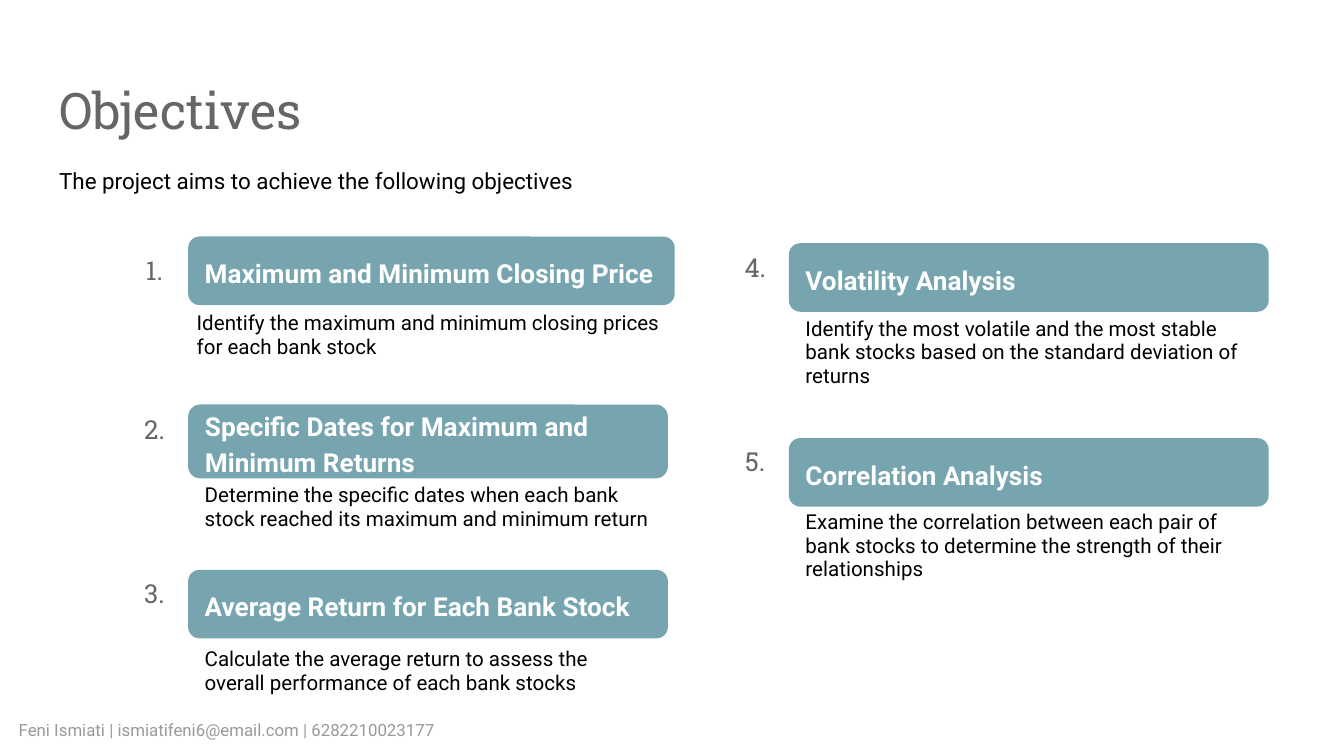
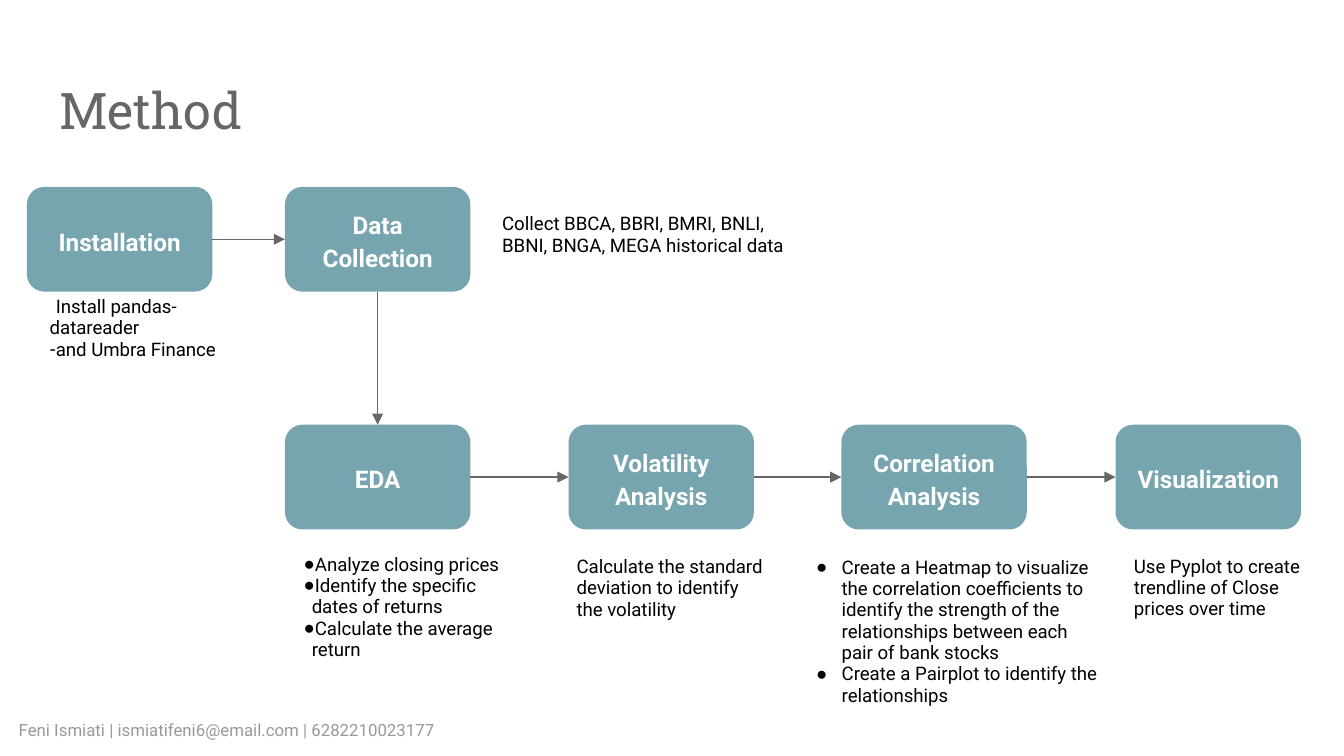
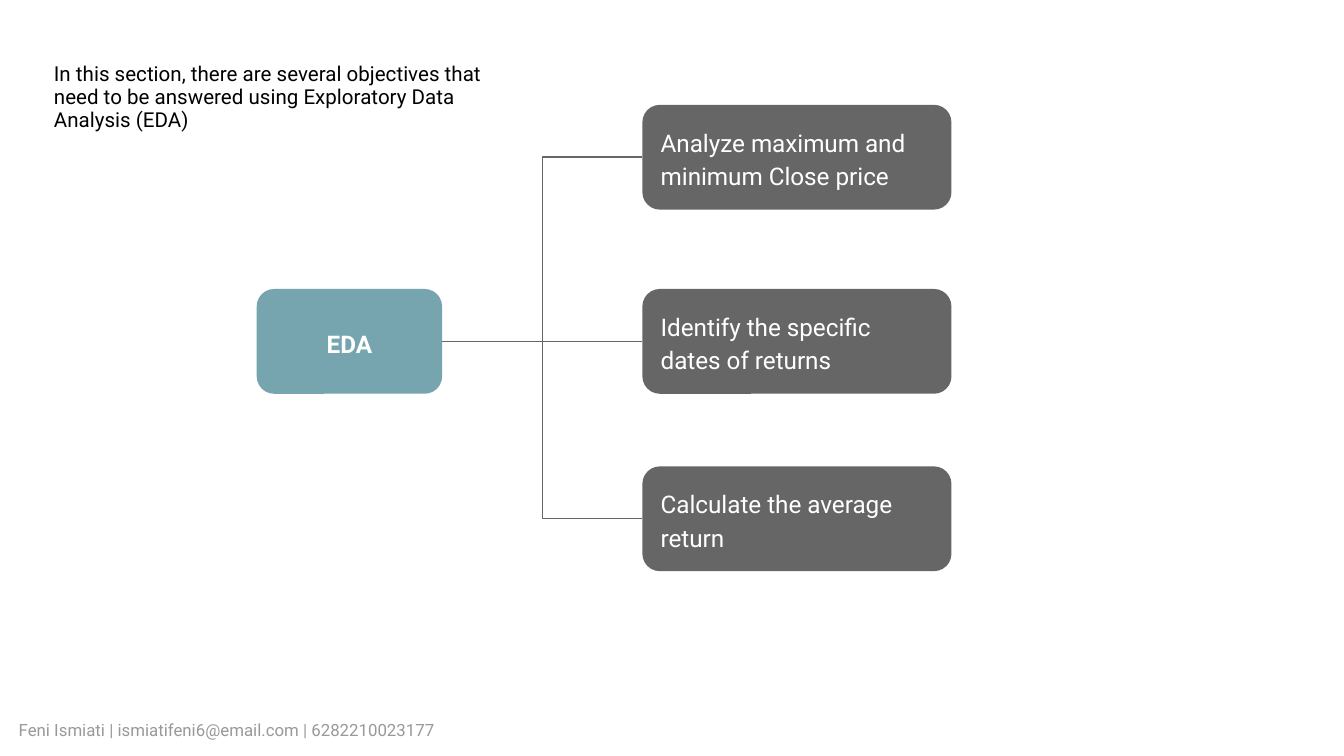
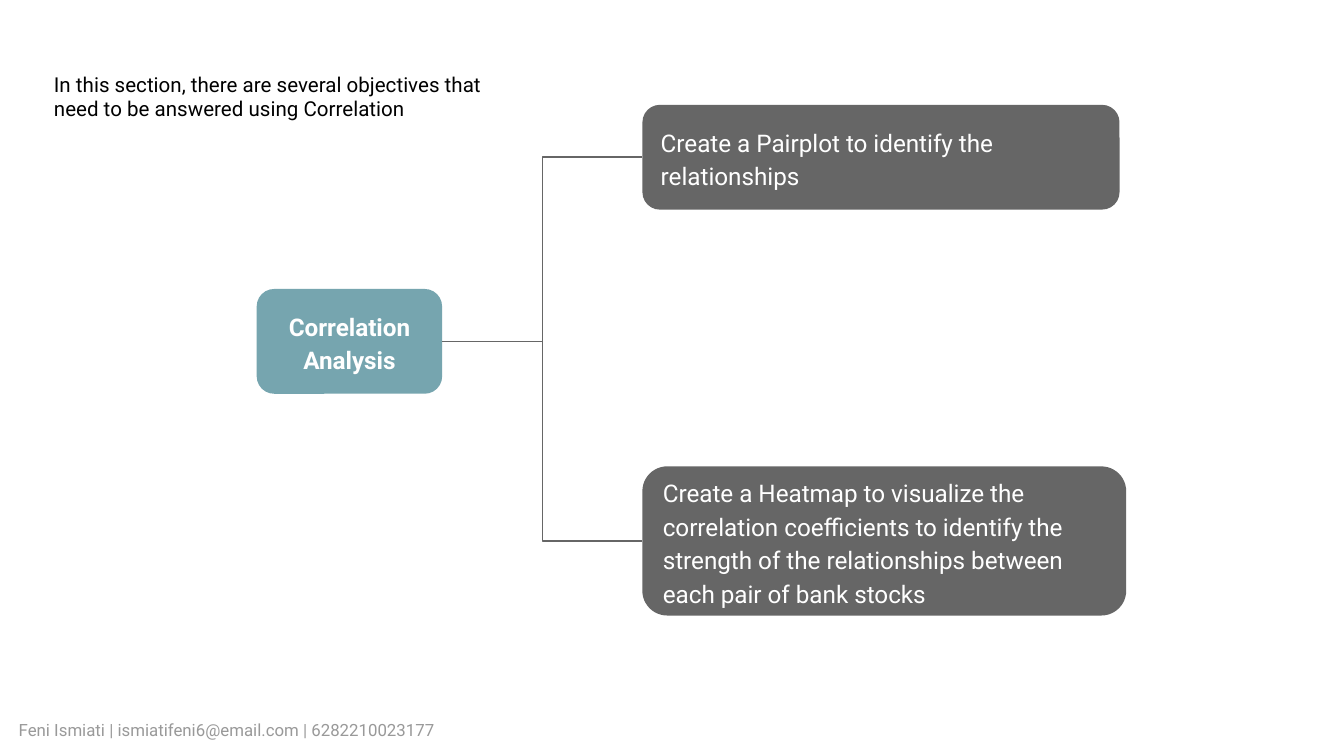
from lxml.etree import SubElement
from pptx import Presentation
from pptx.dml.color import RGBColor
from pptx.enum.shapes import MSO_CONNECTOR as Link, MSO_SHAPE as Shape
from pptx.enum.text import MSO_ANCHOR as Anchor, MSO_AUTO_SIZE as AutoSize, PP_ALIGN as Align
from pptx.oxml.ns import qn
from pptx.util import Inches, Pt

TEAL = RGBColor(0x76, 0xA5, 0xAF)
GRAY = RGBColor(0x66, 0x66, 0x66)
PALE = RGBColor(0x99, 0x99, 0x99)
BLACK = RGBColor(0, 0, 0)
WHITE = RGBColor(0xFF, 0xFF, 0xFF)
SANS, SLAB, BULLET_FONT = "Roboto", "Roboto Slab", "Arial"
FOOTER = "Feni Ismiati | ismiatifeni6@email.com | 6282210023177"
STEP_WIDTH, STEP_HEIGHT = 1.38, 0.78


def add_box(page, place, text, size, color=BLACK, fill=None, bold=False,
            align=Align.LEFT, spacing=0.95, font=SANS):
    """Add a rounded box with text; without a fill only the text shows."""
    box = page.shapes.add_shape(Shape.ROUNDED_RECTANGLE, *map(Inches, place))
    box.shadow.inherit = False
    box.line.fill.background()
    if fill is None:
        box.fill.background()
    else:
        box.fill.solid()
        box.fill.fore_color.rgb = fill
    frame = box.text_frame
    frame.word_wrap = True
    frame.vertical_anchor = Anchor.MIDDLE
    frame.margin_left = frame.margin_right = Inches(0.1)
    frame.margin_top = frame.margin_bottom = Inches(0.1)
    frame.text = text
    for para in frame.paragraphs:
        para.alignment = align
        para.line_spacing = spacing
        for span in para.runs:
            span.font.name = font
            span.font.size = Pt(size)
            span.font.bold = bold
            span.font.color.rgb = color
    return box


def join(page, kind, start, start_side, end, end_side, arrow=False):
    """Join two boxes with a thin gray connector."""
    line = page.shapes.add_connector(kind, 0, 0, 0, 0)
    line.begin_connect(start, start_side)
    line.end_connect(end, end_side)
    line.line.color.rgb = GRAY
    line.line.width = Pt(0.75)
    if arrow:
        SubElement(line.line._get_or_add_ln(), qn("a:tailEnd"), type="triangle")
    SubElement(line._element.spPr, qn("a:effectLst"))


# A deck in the 16:9 format
deck = Presentation()
deck.slide_width = Inches(10)
deck.slide_height = Inches(10) * 9 // 16
objectives, method, eda, correlation = [
    deck.slides.add_slide(deck.slide_layouts[index]) for index in (1, 5, 6, 6)]

# Titles and the introduction, in the placeholders
for holder, text, place, font, size, color, spacing in (
    (objectives.shapes.title, "Objectives", (0.34, 0.49, 9.32, 0.63), SLAB, 27, GRAY, 1.0),
    (objectives.placeholders[1], "The project aims to achieve the following objectives",
     (0.34, 1.11, 4.33, 0.44), SANS, 12, BLACK, 1.15),
    (method.shapes.title, "Method", (0.34, 0.49, 9.32, 0.63), SLAB, 27, GRAY, 1.0),
):
    holder.left, holder.top, holder.width, holder.height = map(Inches, place)
    frame = holder.text_frame
    frame.text = text
    frame.word_wrap = True
    frame.auto_size = AutoSize.NONE
    frame.vertical_anchor = Anchor.TOP
    frame.margin_left = frame.margin_right = Inches(0.1)
    frame.margin_top = frame.margin_bottom = Inches(0.1)
    para = frame.paragraphs[0]
    para.alignment = Align.LEFT
    para.line_spacing = spacing
    para.space_before = Pt(0)
    props = para._p.get_or_add_pPr()
    props.set("marL", "0")
    props.set("indent", "0")
    SubElement(props, qn("a:buNone"))
    span = para.runs[0]
    span.font.name, span.font.size, span.font.color.rgb = font, Pt(size), color

# Objectives: number, heading bar and explanation
goals = (
    (1.81, (1.4, 1.76, 3.62, 0.51), "Maximum and Minimum Closing Price",
     (1.34, 2.24, 3.75, 0.51),
     "Identify the maximum and minimum closing prices for each bank stock"),
    (2.99, (1.4, 3.01, 3.57, 0.55), "Specific Dates for Maximum and Minimum Returns",
     (1.4, 3.52, 3.57, 0.51),
     "Determine the specific dates when each bank stock reached its maximum and minimum return"),
    (4.21, (1.4, 4.24, 3.57, 0.51), "Average Return for Each Bank Stock",
     (1.4, 4.74, 3.57, 0.51),
     "Calculate the average return to assess the overall performance of each bank stocks"),
    (1.79, (5.87, 1.81, 3.57, 0.51), "Volatility Analysis",
     (5.87, 2.37, 3.57, 0.51),
     "Identify the most volatile and the most stable bank stocks based on the standard "
     "deviation of returns"),
    (3.23, (5.87, 3.26, 3.57, 0.51), "Correlation Analysis",
     (5.87, 3.81, 3.57, 0.51),
     "Examine the correlation between each pair of bank stocks to determine the strength "
     "of their relationships"),
)
for number, (number_top, bar, heading, note, text) in enumerate(goals, 1):
    add_box(objectives, (bar[0] - 0.5, number_top, 0.5, 0.4), f"{number}.", 14, GRAY,
            align=Align.CENTER, spacing=1.0, font=SLAB)
    add_box(objectives, bar, heading, 14, WHITE, TEAL, bold=True, spacing=1.15)
    add_box(objectives, note, text, 11)

# Method: the steps and the arrows between them
steps = [
    add_box(method, (left, top, STEP_WIDTH, STEP_HEIGHT), text, 13, WHITE, TEAL,
            bold=True, align=Align.CENTER, spacing=1.15)
    for left, top, text in (
        (0.2, 1.39, "Installation"), (2.12, 1.39, "Data Collection"), (2.12, 3.16, "EDA"),
        (4.23, 3.16, "Volatility Analysis"), (6.26, 3.16, "Correlation Analysis"),
        (8.3, 3.16, "Visualization"))
]
for start, end in zip(steps, steps[1:]):
    sides = (2, 0) if start.left == end.left else (3, 1)
    join(method, Link.STRAIGHT, start, sides[0], end, sides[1], arrow=True)

# Method: plain notes
for place, text in (
    ((3.6, 1.36, 2.39, 0.78), "Collect BBCA, BBRI, BMRI, BNLI, BBNI, BNGA, MEGA historical data"),
    ((4.16, 4.05, 1.69, 0.66), "Calculate the standard deviation to identify the volatility"),
    ((8.31, 4.08, 1.63, 0.59), "Use Pyplot to create trendline of Close prices over time"),
):
    add_box(method, place, text, 10)

# Method: bulleted notes, with a bullet colour for each paragraph
for place, mark, margin, indent, lines, colors in (
    ((0.25, 2.22, 1.74, 0.45), "-", 0, -0.6,
     ("Install pandas-datareader", "and Umbra Finance"), (WHITE, BLACK)),
    ((2.12, 4.09, 1.86, 0.86), "●", 0.06, -0.19,
     ("Analyze closing prices", "Identify the specific dates of returns",
      "Calculate the average return"), (BLACK,) * 3),
    ((5.84, 3.94, 2.51, 1.52), "●", 0.25, -0.19,
     ("Create a Heatmap to visualize the correlation coefficients to identify the strength "
      "of the relationships between each pair of bank stocks",
      "Create a Pairplot to identify the relationships"), (BLACK,) * 2),
):
    box = add_box(method, place, "\n".join(lines), 10)
    for para, color in zip(box.text_frame.paragraphs, colors):
        props = para._p.get_or_add_pPr()
        props.set("marL", str(Inches(margin)))
        props.set("indent", str(Inches(indent)))
        SubElement(SubElement(props, qn("a:buClr")), qn("a:srgbClr"), val=str(color))
        SubElement(props, qn("a:buFont"), typeface=BULLET_FONT)
        SubElement(props, qn("a:buChar"), char=mark)

# Section trees: a topic joined to its tasks
for page, topic, intro, tasks in (
    (eda, "EDA",
     "In this section, there are several objectives that need to be answered using "
     "Exploratory Data Analysis (EDA)",
     ((0.78, 2.3, 0.78, "Analyze maximum and minimum Close price"),
      (2.15, 2.3, 0.78, "Identify the specific dates of returns"),
      (3.47, 2.3, 0.78, "Calculate the average return"))),
    (correlation, "Correlation Analysis",
     "In this section, there are several objectives that need to be answered using Correlation",
     ((0.78, 3.55, 0.78, "Create a Pairplot to identify the relationships"),
      (3.47, 3.6, 1.11,
       "Create a Heatmap to visualize the correlation coefficients to identify the strength "
       "of the relationships between each pair of bank stocks"))),
):
    root = add_box(page, (1.91, 2.15, STEP_WIDTH, STEP_HEIGHT), topic, 13, WHITE, TEAL,
                   bold=True, align=Align.CENTER, spacing=1.15)
    for top, width, height, text in tasks:
        task = add_box(page, (4.78, top, width, height), text, 13, WHITE, GRAY, spacing=1.15)
        kind = Link.STRAIGHT if task.top == root.top else Link.ELBOW
        join(page, kind, root, 3, task, 1)
    add_box(page, (0.26, 0.28, 3.67, 0.89), intro, 11)

# Footer on every slide
for page in deck.slides:
    add_box(page, (0.03, 5.33, 3.62, 0.22), FOOTER, 9, PALE)

deck.save("out.pptx")
